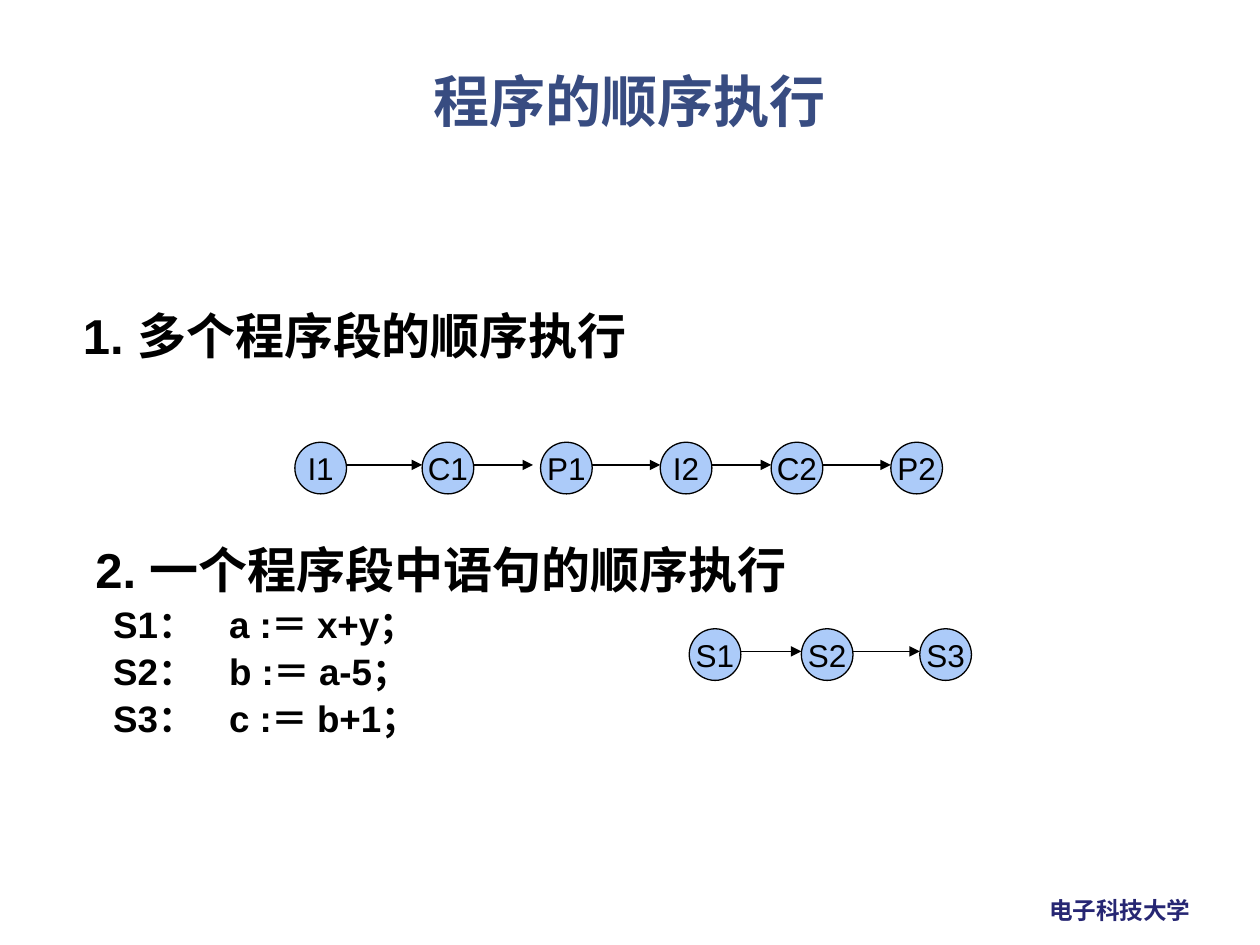
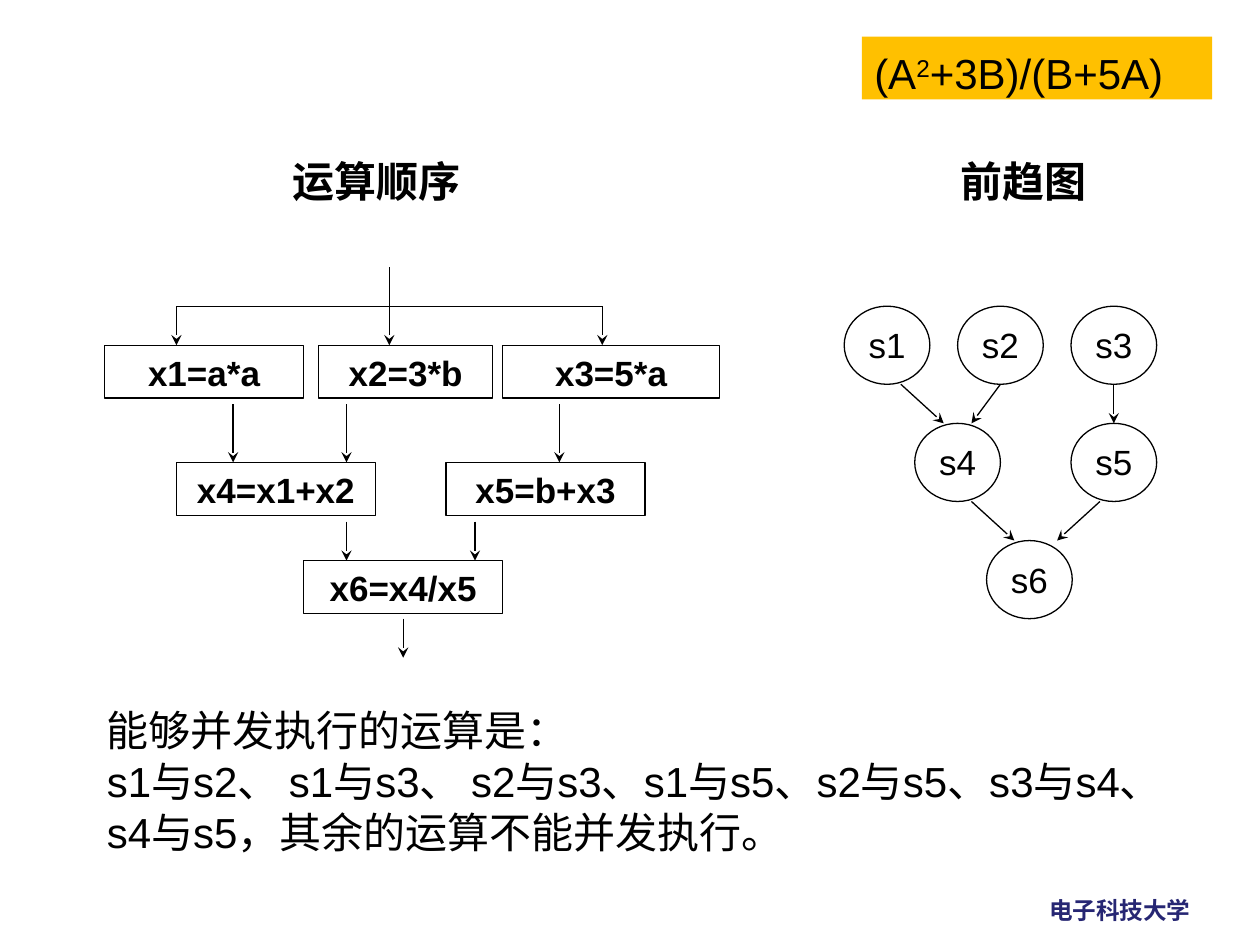
import pptx
import pptx.util
import pptx.dml.color
import pptx.enum.shapes
import pptx.enum.text
import pptx.oxml.ns
import lxml.etree

PX = 9144
RGB = pptx.dml.color.RGBColor
NAVY = RGB(0x26, 0x26, 0x73)
TITLE_BLUE = RGB(0x38, 0x4C, 0x81)
NODE_BLUE = RGB(0xAC, 0xCB, 0xF9)
AMBER = RGB(0xFF, 0xC0, 0x00)
BLACK = RGB(0, 0, 0)
WHITE = RGB(0xFF, 0xFF, 0xFF)
LATIN = "Arial"
HAN = "Noto Sans CJK SC"
SHAPE = pptx.enum.shapes.MSO_SHAPE
ANCHOR = pptx.enum.text.MSO_ANCHOR
ALIGN = pptx.enum.text.PP_ALIGN
Pt = pptx.util.Pt
qn = pptx.oxml.ns.qn


def add_text(sp, runs, size, color=BLACK, bold=False, align=ALIGN.LEFT, wrap=True,
             anchor=ANCHOR.TOP, inset=(10, 5, 10, 5), leading=None, p=None, font=LATIN):
    tf = sp.text_frame
    tf.word_wrap = wrap
    tf.vertical_anchor = anchor
    tf.margin_left, tf.margin_top, tf.margin_right, tf.margin_bottom = [v * PX for v in inset]
    p = p or tf.paragraphs[0]
    p.alignment = align
    if leading:
        p.line_spacing = Pt(leading)
    for text in runs:
        r = p.add_run()
        r.text = text
        r.font.size = Pt(size)
        r.font.bold = bold
        r.font.name = font
        r.font.color.rgb = color
        lxml.etree.SubElement(r._r.get_or_add_rPr(), qn("a:ea"), typeface=HAN)
    return p


def add_line(s, x1, y1, x2, y2, head=None):
    c = s.shapes.add_connector(pptx.enum.shapes.MSO_CONNECTOR.STRAIGHT,
                               x1 * PX, y1 * PX, x2 * PX, y2 * PX)
    c.line.color.rgb = BLACK
    c.line.width = Pt(0.75)
    if head:
        lxml.etree.SubElement(c.line._get_or_add_ln(), qn("a:tailEnd"), type=head)
    lxml.etree.SubElement(c._element.spPr, qn("a:effectLst"))


prs = pptx.Presentation()
prs.slide_width = 1000 * PX
prs.slide_height = 750 * PX
slides = []
for _ in range(2):
    s = prs.slides.add_slide(prs.slide_layouts[6])
    sp = s.shapes.add_textbox(823 * PX, 705 * PX, 134 * PX, 33 * PX)
    add_text(sp, ["电子科技大学"], 13.5, NAVY, True, wrap=False, leading=17, font=HAN)
    slides.append(s)

s = slides[0]
sp = s.shapes.add_textbox(68 * PX, 50 * PX, 864 * PX, 60 * PX)
add_text(sp, ["程序的顺序执行"], 32, TITLE_BLUE, True, ALIGN.CENTER,
         anchor=ANCHOR.MIDDLE, leading=38, font=HAN)

sp = s.shapes.add_textbox(56 * PX, 234 * PX, 787 * PX, 371 * PX)
outline = [
    ("1. 多个程序段的顺序执行", 28, 36, 0, 0, 0),
    ("2. 一个程序段中语句的顺序执行", 28, 36, 98, 10, 0),
    ("S1：\ta :＝ x+y；", 21, 23, 4, 116, -92),
    ("S2：\tb :＝ a-5；", 21, 23, 4, 116, -92),
    ("S3：\tc :＝ b+1；", 21, 23, 4, 116, -92),
]
for i, (text, size, leading, before, margin, indent) in enumerate(outline):
    p = sp.text_frame.add_paragraph() if i else sp.text_frame.paragraphs[0]
    add_text(sp, [text], size, bold=True, leading=leading, p=p)
    p.space_before = Pt(before)
    pPr = p._p.get_or_add_pPr()
    pPr.set("marL", str(margin * PX))
    pPr.set("indent", str(indent * PX))

NODE = 41
chains = [
    (351, [("I1", 234, 335), ("C1", 335, 423), ("P1", 429, 524),
           ("I2", 524, 612), ("C2", 612, 707), ("P2", 707, None)]),
    (499, [("S1", 547, 636), ("S2", 636, 730), ("S3", 730, None)]),
]
for top, nodes in chains:
    for name, left, arrow_tip in nodes:
        sp = s.shapes.add_shape(SHAPE.OVAL, left * PX, top * PX, NODE * PX, NODE * PX)
        sp.shadow.inherit = False
        sp.fill.solid()
        sp.fill.fore_color.rgb = NODE_BLUE
        sp.line.color.rgb = BLACK
        sp.line.width = Pt(0.75)
        add_text(sp, [name], 18, align=ALIGN.CENTER, wrap=False, anchor=ANCHOR.MIDDLE)
        if arrow_tip:
            add_line(s, left + NODE, top + 18, arrow_tip, top + 18, "triangle")

s = slides[1]
steps = [
    (SHAPE.OVAL, 68, 62, False,
     [("s1", 670, 243), ("s2", 760, 243), ("s3", 850, 243),
      ("s4", 726, 336), ("s5", 850, 336), ("s6", 783, 429)]),
    (SHAPE.RECTANGLE, 158, 42, True,
     [("x1=a*a", 83, 274), ("x4=x1+x2", 140, 367),
      ("x5=b+x3", 354, 367), ("x6=x4/x5", 241, 445)]),
    (SHAPE.RECTANGLE, 138, 42, True, [("x2=3*b", 253, 274)]),
    (SHAPE.RECTANGLE, 172, 42, True, [("x3=5*a", 399, 274)]),
]
for kind, width, height, bold, items in steps:
    for text, left, top in items:
        sp = s.shapes.add_shape(kind, left * PX, top * PX, width * PX, height * PX)
        sp.shadow.inherit = False
        sp.fill.solid()
        sp.fill.fore_color.rgb = WHITE
        sp.line.color.rgb = BLACK
        sp.line.width = Pt(0.75)
        add_text(sp, [text], 20, bold=bold, align=ALIGN.CENTER, inset=(2, 5, 2, 1))

arrows = [
    (715, 305, 749, 336), (794, 305, 771, 336), (771, 398, 805, 429),
    (884, 305, 884, 336), (873, 398, 839, 429),
    (140, 243, 140, 274), (309, 212, 309, 274), (478, 243, 478, 274),
    (185, 321, 185, 367), (275, 321, 275, 367), (444, 321, 444, 367),
    (275, 414, 275, 445), (377, 414, 377, 445), (320, 491, 320, 522),
]
for ends in arrows:
    add_line(s, *ends, "stealth")
add_line(s, 140, 243, 478, 243)

sp = s.shapes.add_textbox(75 * PX, 554 * PX, 883 * PX, 131 * PX)
add_text(sp, ["能够并发执行的运算是："], 24, leading=29)
add_text(sp, ["s1与s2、 s1与s3、 s2与s3、s1与s5、s2与s5、s3与s4、s4与s5，其余的运算不能并发执行。"],
         24, leading=29, p=sp.text_frame.add_paragraph())

for heading, left, width in [("运算顺序", 175, 248), ("前趋图", 733, 158)]:
    sp = s.shapes.add_textbox(left * PX, 120 * PX, width * PX, 45 * PX)
    add_text(sp, [heading], 24, bold=True, align=ALIGN.CENTER, inset=(0, 0, 0, 0), leading=31)

sp = s.shapes.add_shape(SHAPE.RECTANGLE, 684 * PX, 29 * PX, 278 * PX, 50 * PX)
sp.shadow.inherit = False
sp.fill.solid()
sp.fill.fore_color.rgb = AMBER
sp.line.fill.background()
p = add_text(sp, ["(A", "2", "+3B)/(B+5A)"], 24, wrap=False, inset=(10, 9, 10, 1))
p.runs[1].font._element.set("baseline", "30000")

prs.save("out.pptx")
